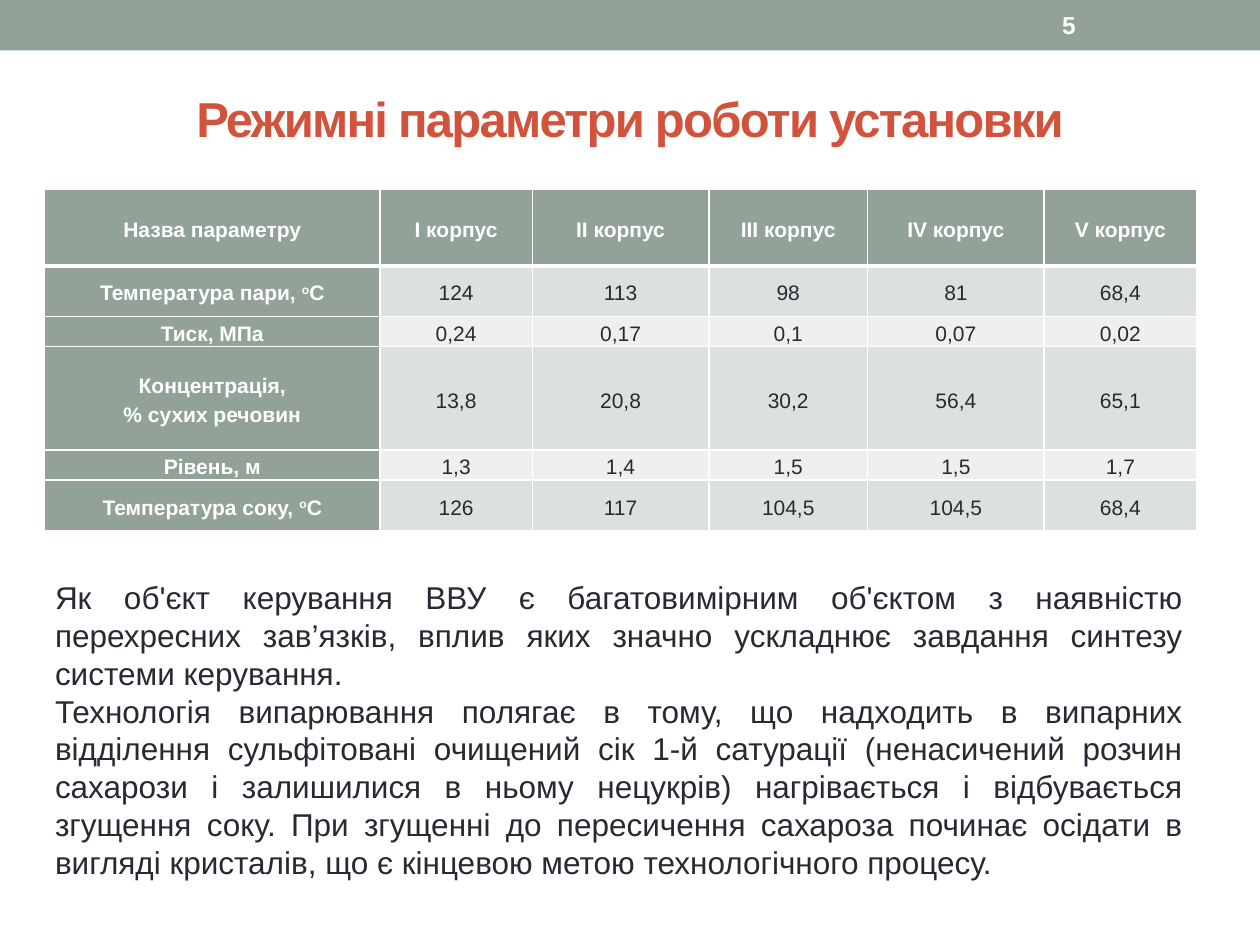
from dataclasses import dataclass

from lxml import etree
from pptx import Presentation
from pptx.dml.color import RGBColor
from pptx.enum import shapes, text
from pptx.oxml import ns
from pptx.util import Cm, Pt


@dataclass(frozen=True)
class Theme:
    font: str = "Arial"
    sage: str = "93A299"
    accent: str = "D2533C"
    ink: str = "292934"
    white: str = "FFFFFF"
    bands: tuple = ("DCE0DE", "EEF0EF")
    title_size: int = 28
    body_size: int = 18
    number_size: int = 14
    table_size: int = 12


THEME = Theme()
TITLE = "Режимні параметри роботи установки"
COLUMN_WIDTHS = (6.76, 3.07, 3.56, 3.2, 3.56, 3.07)
ROW_HEIGHTS = (1.55, 1.02, 0.48, 2.08, 0.48, 1.02)
SUPERSCRIPT = "^"
PARAMETERS = (
    ("Назва параметру", "І корпус", "ІІ корпус", "ІІІ корпус", "ІV корпус", "V корпус"),
    ("Температура пари, ^о^С", "124", "113", "98", "81", "68,4"),
    ("Тиск, МПа", "0,24", "0,17", "0,1", "0,07", "0,02"),
    ("Концентрація,\n% сухих речовин", "13,8", "20,8", "30,2", "56,4", "65,1"),
    ("Рівень, м", "1,3", "1,4", "1,5", "1,5", "1,7"),
    ("Температура соку, ^о^С", "126", "117", "104,5", "104,5", "68,4"),
)
DESCRIPTION = (
    "Як об'єкт керування ВВУ є багатовимірним об'єктом з наявністю перехресних "
    "зав’язків, вплив яких значно ускладнює завдання синтезу системи керування.",
    "Технологія випарювання полягає в тому, що надходить в випарних відділення "
    "сульфітовані очищений сік 1-й сатурації (ненасичений розчин сахарози і залишилися "
    "в ньому нецукрів) нагрівається і відбувається згущення соку. При згущенні до "
    "пересичення сахароза починає осідати в вигляді кристалів, що є кінцевою метою "
    "технологічного процесу.",
)


def fill_solid(target, color):
    target.fill.solid()
    target.fill.fore_color.rgb = RGBColor.from_string(color)


def format_paragraph(paragraph, size, color, bold=False, alignment=text.PP_ALIGN.LEFT):
    paragraph.alignment = alignment
    font = paragraph.font
    font.name, font.size, font.bold = THEME.font, Pt(size), bold
    font.color.rgb = RGBColor.from_string(color)


def add_top_band(slide, width):
    band = slide.shapes.add_shape(shapes.MSO_SHAPE.RECTANGLE, 0, 0, width, Cm(1.02))
    band.shadow.inherit = False
    fill_solid(band, THEME.sage)
    band.line.fill.background()


def set_title(slide):
    title = slide.shapes.title
    title.left, title.top, title.width, title.height = Cm(1.27), Cm(1.47), Cm(22.86), Cm(1.8)
    title.text_frame.text = TITLE
    title.text_frame.vertical_anchor = text.MSO_ANCHOR.MIDDLE
    paragraph = title.text_frame.paragraphs[0]
    format_paragraph(paragraph, THEME.title_size, THEME.accent, True, text.PP_ALIGN.CENTER)
    paragraph.runs[0].font._element.set("spc", "-100")


def add_text(slide, left, top, width, height, paragraphs, anchor, **style):
    box = slide.shapes.add_textbox(Cm(left), Cm(top), Cm(width), Cm(height))
    frame = box.text_frame
    frame.word_wrap = True
    frame.vertical_anchor = anchor
    frame.text = "\n".join(paragraphs)
    for paragraph in frame.paragraphs:
        format_paragraph(paragraph, **style)


def set_borders(cell, **widths):
    properties = cell._tc.get_or_add_tcPr()
    for index, side in enumerate(("L", "R", "T", "B")):
        line = etree.Element(ns.qn(f"a:ln{side}"), w=str(Pt(widths.get(side, 1))))
        fill = etree.SubElement(line, ns.qn("a:solidFill"))
        etree.SubElement(fill, ns.qn("a:srgbClr"), val=THEME.white)
        properties.insert(index, line)


def write_cell(cell, content, color, bold):
    cell.vertical_anchor = text.MSO_ANCHOR.MIDDLE
    cell.margin_left = cell.margin_right = Cm(0.18)
    cell.margin_top = cell.margin_bottom = 0
    frame = cell.text_frame
    for index, line in enumerate(content.split("\n")):
        paragraph = frame.add_paragraph() if index else frame.paragraphs[0]
        paragraph.line_spacing = 1.2
        for position, part in enumerate(line.split(SUPERSCRIPT)):
            run = paragraph.add_run()
            run.text = part
            if position % 2:
                run.font._element.set("baseline", "30000")
        format_paragraph(paragraph, THEME.table_size, color, bold, text.PP_ALIGN.CENTER)


def add_parameter_table(slide):
    frame = slide.shapes.add_table(
        len(ROW_HEIGHTS), len(COLUMN_WIDTHS), Cm(0.9), Cm(3.81),
        Cm(sum(COLUMN_WIDTHS)), Cm(sum(ROW_HEIGHTS)))
    table = frame.table
    for column, width in zip(table.columns, COLUMN_WIDTHS):
        column.width = Cm(width)
    for row_index, (height, values) in enumerate(zip(ROW_HEIGHTS, PARAMETERS)):
        table.rows[row_index].height = Cm(height)
        for column_index, value in enumerate(values):
            cell = table.cell(row_index, column_index)
            heading = row_index == 0 or column_index == 0
            write_cell(cell, value, THEME.white if heading else THEME.ink, heading)
            fill_solid(cell, THEME.sage if heading else THEME.bands[(row_index - 1) % 2])
            set_borders(cell, T=3 if row_index == 1 else 1, B=3 if row_index == 0 else 1)


def main():
    presentation = Presentation()
    presentation.slide_width, presentation.slide_height = Cm(25.4), Cm(19.05)
    slide = presentation.slides.add_slide(presentation.slide_layouts[5])
    add_top_band(slide, presentation.slide_width)
    set_title(slide)
    add_text(slide, 21.16, 0.05, 2.97, 0.91, ["5"], text.MSO_ANCHOR.MIDDLE,
             size=THEME.number_size, color=THEME.white, bold=True)
    add_parameter_table(slide)
    add_text(slide, 0.86, 11.53, 23.24, 7.19, DESCRIPTION, text.MSO_ANCHOR.TOP,
             size=THEME.body_size, color=THEME.ink, alignment=text.PP_ALIGN.JUSTIFY)
    presentation.save("out.pptx")


if __name__ == "__main__":
    main()
